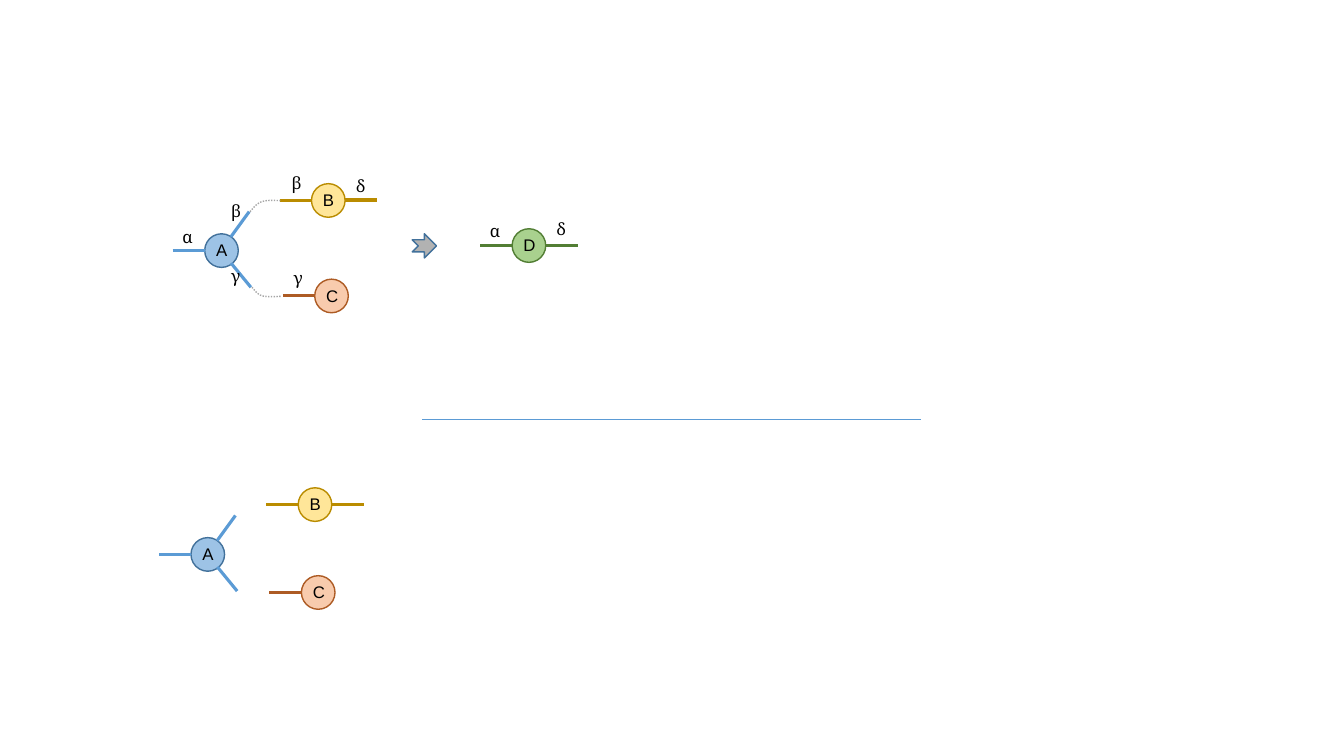
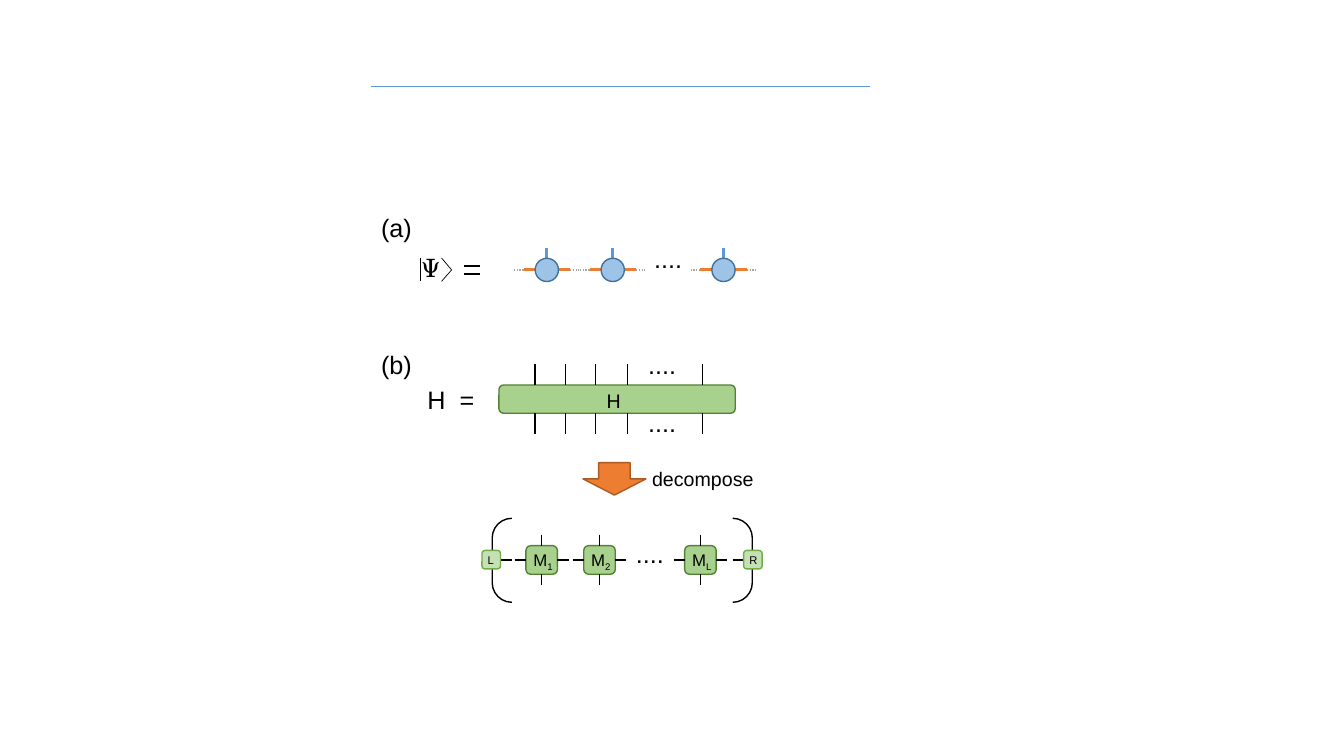
"""Build two slides of tensor network diagrams."""
from dataclasses import dataclass

import lxml.etree
import pptx
import pptx.dml.color
import pptx.enum.dml
import pptx.enum.shapes
import pptx.enum.text
import pptx.oxml.ns
import pptx.shapes.autoshape
import pptx.slide
import pptx.util

Pt = pptx.util.Pt
Preset = pptx.enum.shapes.MSO_SHAPE
Point = tuple[float, float]
Leg = tuple[float, float, float, float]

BLACK, BLUE, BLUE_FILL, BLUE_EDGE = "000000", "5B9BD5", "9DC3E6", "42719B"
ORANGE, RUST, DOT_GREY = "ED7D31", "AD5B24", "A6A6A6"
GREEN_FILL, GREEN_EDGE = "A9D18E", "548235"
NODE_SIZE = 24
LEFT_LEG: Leg = (-22.8, 12, 0, 12)
RIGHT_LEG: Leg = (24.3, 11.7, 46.8, 11.7)


@dataclass(frozen=True)
class Tensor:
    name: str
    fill: str
    edge: str
    leg_color: str
    legs: tuple[Leg, ...]


@dataclass(frozen=True)
class Label:
    text: str
    left: float
    top: float


TENSOR_A = Tensor("A", BLUE_FILL, BLUE_EDGE, BLUE,
                  ((18.7, 2.2, 31.8, -15.8), LEFT_LEG, (18.9, 21, 33, 38.2)))
TENSOR_B = Tensor("B", "FFE699", "BA8C00", "BA8C00", (LEFT_LEG, RIGHT_LEG))
TENSOR_C = Tensor("C", "F8CBAD", RUST, RUST, (LEFT_LEG,))
TENSOR_D = Tensor("D", GREEN_FILL, "527E34", "527E34", (LEFT_LEG, RIGHT_LEG))

PLACED_TENSORS = (
    (TENSOR_A, 146.2, 167), (TENSOR_B, 222.5, 131.2), (TENSOR_C, 224.8, 199.4),
    (TENSOR_D, 365.8, 163.4),
    (TENSOR_A, 136.4, 384), (TENSOR_B, 213, 348.4), (TENSOR_C, 215.3, 411.2),
)
INDEX_LABELS = (
    Label("α", 126.7, 158.4), Label("β", 161.3, 139.7), Label("γ", 161.3, 186.5),
    Label("β", 204.5, 120.2), Label("δ", 250.6, 121.7), Label("γ", 205.9, 187.9),
    Label("α", 346.3, 154.1), Label("δ", 393.8, 152.6),
)
CONTRACTIONS: tuple[tuple[Point, ...], ...] = (
    ((178.6, 151.2), (180, 149.8), (182.9, 145.4), (187.2, 144),
     (191.5, 142.6), (198, 143.3), (200.2, 143.3)),
    ((180, 205.2), (181.4, 206.6), (183.6, 210.2), (187.2, 211.3),
     (191.5, 212.4), (198.7, 211.7), (200.9, 211.7)),
)


def rgb(value: str) -> pptx.dml.color.RGBColor:
    return pptx.dml.color.RGBColor.from_string(value)


def add_text(slide: pptx.slide.Slide, text: str, left: float, top: float, width: float, *,
             size: float = 12, font: str = "Arial", subscript: str = "") -> None:
    box = slide.shapes.add_textbox(Pt(left), Pt(top), Pt(width), Pt(size * 1.13 + 7.2))
    frame = box.text_frame
    frame.word_wrap = False
    frame.auto_size = pptx.enum.text.MSO_AUTO_SIZE.SHAPE_TO_FIT_TEXT
    frame.margin_left = frame.margin_right = frame.margin_top = frame.margin_bottom = Pt(3.6)
    paragraph = frame.paragraphs[0]
    for content in filter(None, (text, subscript)):
        run = paragraph.add_run()
        run.text = content
        run.font.size = Pt(size)
        run.font.name = font
        run.font.color.rgb = rgb(BLACK)
    if subscript:
        run.font._element.set("baseline", "-25000")


def add_line(slide: pptx.slide.Slide, x1: float, y1: float, x2: float, y2: float, *,
             color: str = BLACK, weight: float = 1, dotted: bool = False) -> None:
    line = slide.shapes.add_connector(
        pptx.enum.shapes.MSO_CONNECTOR.STRAIGHT, Pt(x1), Pt(y1), Pt(x2), Pt(y2))
    line.line.color.rgb = rgb(color)
    line.line.width = Pt(weight)
    if dotted:
        line.line.dash_style = pptx.enum.dml.MSO_LINE_DASH_STYLE.ROUND_DOT
    lxml.etree.SubElement(line._element.spPr, pptx.oxml.ns.qn("a:effectLst"))


def add_shape(slide: pptx.slide.Slide, preset: Preset, left: float, top: float,
              width: float, height: float, *, fill: str = "", edge: str = BLACK
              ) -> pptx.shapes.autoshape.Shape:
    shape = slide.shapes.add_shape(preset, Pt(left), Pt(top), Pt(width), Pt(height))
    shape.shadow.inherit = False
    if fill:
        shape.fill.solid()
        shape.fill.fore_color.rgb = rgb(fill)
    else:
        shape.fill.background()
    shape.line.color.rgb = rgb(edge)
    shape.line.width = Pt(1)
    return shape


def add_divider(slide: pptx.slide.Slide, left: float, top: float) -> None:
    add_line(slide, left, top, left + 356.4, top, color=BLUE, weight=0.5)


def bezier(controls: tuple[Point, ...], t: float) -> Point:
    weights = ((1 - t) ** 3, 3 * t * (1 - t) ** 2, 3 * t * t * (1 - t), t ** 3)
    x, y = (sum(w * c[axis] for w, c in zip(weights, controls)) for axis in (0, 1))
    return x, y


def add_contraction(slide: pptx.slide.Slide, controls: tuple[Point, ...]) -> None:
    points = [bezier(controls[first:first + 4], step / 8)
              for first in range(0, len(controls) - 1, 3) for step in range(1, 9)]
    start_x, start_y = controls[0]
    builder = slide.shapes.build_freeform(Pt(start_x), Pt(start_y))
    builder.add_line_segments([(Pt(x), Pt(y)) for x, y in points], close=False)
    curve = builder.convert_to_shape()
    curve.shadow.inherit = False
    curve.fill.background()
    curve.line.color.rgb = rgb(DOT_GREY)
    curve.line.width = Pt(1)
    curve.line.dash_style = pptx.enum.dml.MSO_LINE_DASH_STYLE.ROUND_DOT


def add_tensor(slide: pptx.slide.Slide, tensor: Tensor, left: float, top: float) -> None:
    add_shape(slide, Preset.OVAL, left, top, NODE_SIZE, NODE_SIZE,
              fill=tensor.fill, edge=tensor.edge)
    for x1, y1, x2, y2 in tensor.legs:
        add_line(slide, left + x1, top + y1, left + x2, top + y2,
                 color=tensor.leg_color, weight=2.25)
    add_text(slide, tensor.name, left + 4.5, top + 1, 16.8)


def add_state_site(slide: pptx.slide.Slide, center: float) -> None:
    middle, radius = 192.8, 8.3
    for side in (-1, 1):
        leg_end = center + side * 2 * radius
        add_line(slide, leg_end, middle, center + side * 23.2, middle,
                 color=DOT_GREY, dotted=True)
        add_line(slide, center + side * radius, middle, leg_end, middle,
                 color=ORANGE, weight=2.25)
    add_line(slide, center, 177, center, middle - radius, color=BLUE, weight=2.25)
    add_shape(slide, Preset.OVAL, center - radius, middle - radius, 2 * radius, 2 * radius,
              fill=BLUE_FILL, edge=BLUE_EDGE)


def add_operator_site(slide: pptx.slide.Slide, left: float, index: str) -> None:
    top, width, height, leg = 389.8, 22.5, 20.4, 8
    center, middle = left + width / 2, top + height / 2
    add_shape(slide, Preset.ROUNDED_RECTANGLE, left, top, width, height,
              fill=GREEN_FILL, edge=GREEN_EDGE)
    add_line(slide, center, top - leg, center, top)
    add_line(slide, center, top + height, center, top + height + leg)
    add_line(slide, left - leg, middle, left, middle)
    add_line(slide, left + width, middle, left + width + leg, middle)
    add_text(slide, "M", left + 1.7, top - 1, 22.3, subscript=index)


def add_boundary(slide: pptx.slide.Slide, name: str, bracket: Preset,
                 bracket_left: float, node_left: float) -> None:
    outline = add_shape(slide, bracket, bracket_left, 370.2, 14, 60)
    outline.adjustments[0] = 1
    add_line(slide, bracket_left, 400, bracket_left + 14, 400)
    add_shape(slide, Preset.ROUNDED_RECTANGLE, node_left, 393.2, 13.2, 13.2,
              fill="C5E0B4", edge="70AD47")
    add_text(slide, name, node_left + 0.5, 391.4, 11.5, size=8)


def add_ket(slide: pptx.slide.Slide) -> None:
    top, middle, bottom = 184.3, 192.8, 201
    add_line(slide, 300.2, top, 300.2, bottom, weight=0.5)
    add_line(slide, 315.4, top, 322.6, middle, weight=0.5)
    add_line(slide, 322.6, middle, 315.4, bottom, weight=0.5)
    add_text(slide, "Ψ", 297.5, 177, 21, size=18, font="TeX Gyre Schola")
    for bar in (189.7, 195.5):
        add_line(slide, 331.4, bar, 343.2, bar, weight=1.5)


def draw_contraction_slide(slide: pptx.slide.Slide) -> None:
    add_divider(slide, 301.7, 299.5)
    for tensor, left, top in PLACED_TENSORS:
        add_tensor(slide, tensor, left, top)
    for controls in CONTRACTIONS:
        add_contraction(slide, controls)
    add_shape(slide, Preset.NOTCHED_RIGHT_ARROW, 294.5, 167, 17.3, 17.3,
              fill="B2B2B2", edge=BLUE_EDGE)
    for label in INDEX_LABELS:
        add_text(slide, label.text, label.left, label.top, 15.8, font="Cambria")


def draw_state_slide(slide: pptx.slide.Slide) -> None:
    add_divider(slide, 265, 62)
    add_text(slide, "(a)", 268.6, 148.3, 30.2, size=18)
    add_ket(slide)
    for center in (390.6, 437.7, 516.8):
        add_state_site(slide, center)

    add_text(slide, "(b)", 268.6, 246.2, 30.2, size=18)
    add_text(slide, "H  =", 301.7, 270.7, 46.8, size=18)
    add_shape(slide, Preset.ROUNDED_RECTANGLE, 356.4, 275, 168.8, 20.2,
              fill=GREEN_FILL, edge=GREEN_EDGE)
    add_text(slide, "H", 429.8, 274.3, 18, size=14)
    for leg in (382.2, 403.9, 425.2, 448.2, 501.8):
        add_line(slide, leg, 260, leg, 275)
        add_line(slide, leg, 295.2, leg, 310.2)

    add_shape(slide, Preset.DOWN_ARROW, 416.4, 330.5, 45, 23.2, fill=ORANGE, edge=RUST)
    add_text(slide, "decompose", 462.2, 329.8, 80.6, size=14)
    add_boundary(slide, "L", Preset.LEFT_BRACKET, 351.6, 344.3)
    add_boundary(slide, "R", Preset.RIGHT_BRACKET, 523.4, 531.2)
    for left, index in ((375.7, "1"), (417, "2"), (489.1, "L")):
        add_operator_site(slide, left, index)
    for left, top in ((463.7, 170.6), (459.4, 246.2), (459.4, 287.3), (450.7, 380.9)):
        add_text(slide, "....", left, top, 28, size=18)


def main() -> None:
    deck = pptx.Presentation()
    deck.slide_width, deck.slide_height = Pt(960), Pt(540)
    for draw in (draw_contraction_slide, draw_state_slide):
        draw(deck.slides.add_slide(deck.slide_layouts[6]))
    deck.save("out.pptx")


if __name__ == "__main__":
    main()
